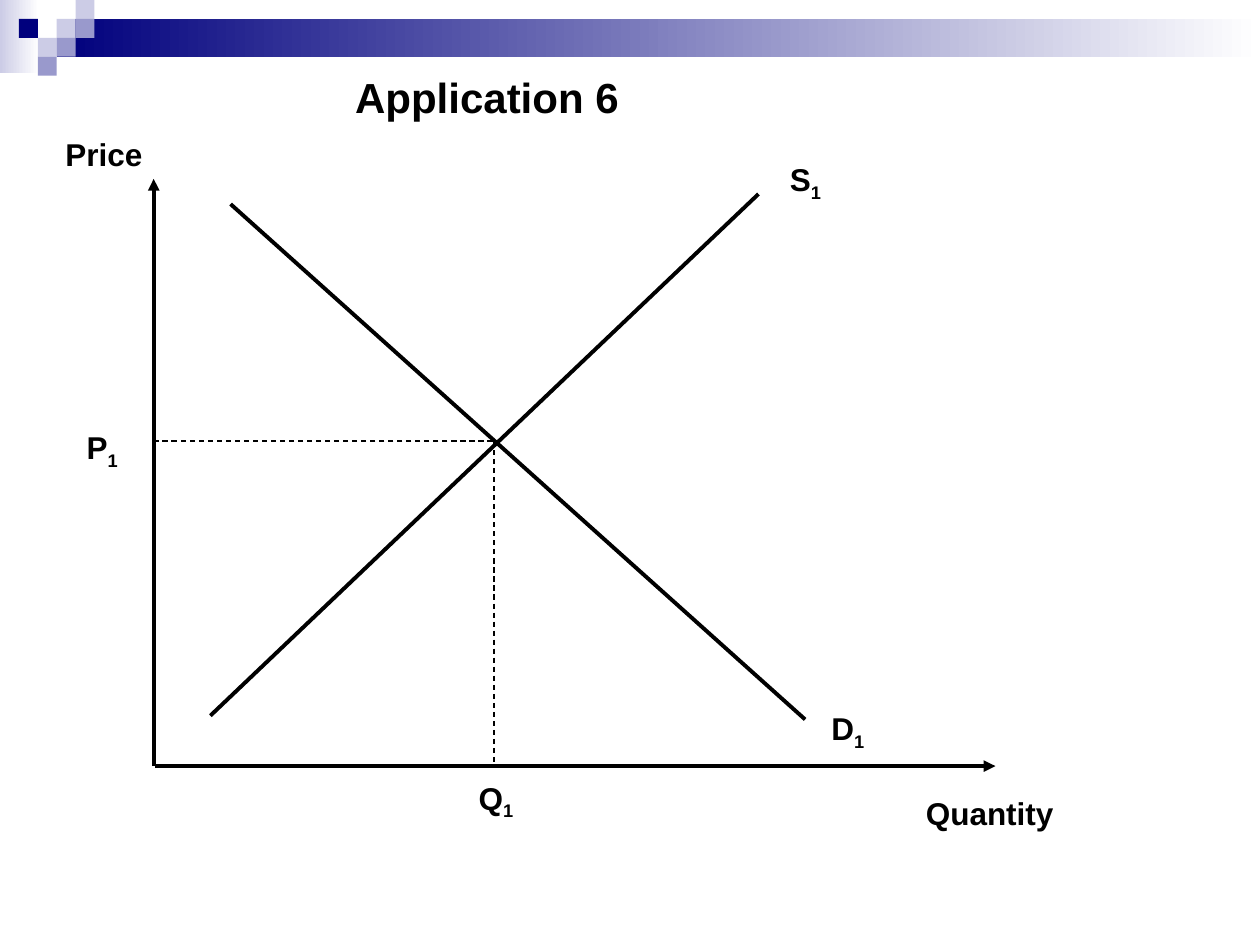
from typing import NamedTuple, Optional

from lxml.etree import SubElement
from pptx import Presentation
from pptx.dml.color import RGBColor
from pptx.enum.dml import MSO_LINE
from pptx.enum.shapes import MSO_CONNECTOR, MSO_SHAPE
from pptx.enum.text import MSO_ANCHOR, MSO_AUTO_SIZE, PP_ALIGN
from pptx.oxml.ns import qn
from pptx.slide import Slide
from pptx.util import Inches, Pt

BLACK = RGBColor(0x00, 0x00, 0x00)
WHITE = RGBColor(0xFF, 0xFF, 0xFF)
NAVY = RGBColor(0x00, 0x00, 0x7D)
MID = RGBColor(0x99, 0x99, 0xCC)
PALE = RGBColor(0xCC, 0xCC, 0xE6)
TILE = 0.15


class Box(NamedTuple):
    left: float
    top: float
    width: float
    height: float
    color: RGBColor
    fade: bool = False


class Line(NamedTuple):
    x1: float
    y1: float
    x2: float
    y2: float
    weight: float = 2.25
    arrow: bool = False
    dash: bool = False


class Label(NamedTuple):
    text: str
    left: float
    top: float
    width: float
    sub: Optional[str] = None


def tile(col: int, row: int, color: RGBColor) -> Box:
    return Box(col * TILE, row * TILE, TILE, TILE, color)


# Header band: two fading bars, then tiles on a square grid
BAND = [
    Box(0, 0, 0.31, 0.58, PALE, fade=True),
    Box(0.45, 0.15, 9.55, 0.3, NAVY, fade=True),
    tile(3, 1, PALE), tile(4, 0, PALE), tile(4, 1, MID), tile(2, 2, PALE),
    tile(1, 1, NAVY), tile(3, 2, MID), tile(2, 3, MID),
]

# Axes, demand, supply, then the guides to the equilibrium
LINES = [
    Line(1.22, 6.08, 1.22, 1.42, arrow=True),
    Line(1.23, 6.08, 7.9, 6.08, arrow=True),
    Line(1.83, 1.62, 6.39, 5.71),
    Line(1.67, 5.68, 6.02, 1.54),
    Line(3.91, 3.5, 1.24, 3.5, 0.75, dash=True),
    Line(3.92, 3.5, 3.92, 6.08, 0.75, dash=True),
]

LABELS = [
    Label("Price", 0.42, 1.02, 0.82),
    Label("Quantity", 7.25, 6.25, 1.23),
    Label("S", 6.17, 1.22, 0.46, "1"),
    Label("D", 6.5, 5.58, 0.47, "1"),
    Label("P", 0.59, 3.35, 0.46, "1"),
    Label("Q", 3.7, 6.13, 0.49, "1"),
]


def set_font(para, size: float) -> None:
    font = para.font
    font.name, font.size, font.bold = "Arial", Pt(size), True
    font.color.rgb = BLACK


def draw_box(slide: Slide, box: Box) -> None:
    shape = slide.shapes.add_shape(
        MSO_SHAPE.RECTANGLE, Inches(box.left), Inches(box.top),
        Inches(box.width), Inches(box.height))
    shape.shadow.inherit = False
    shape.line.fill.background()
    if box.fade:
        shape.fill.gradient()
        shape.fill.gradient_angle = 0
        for stop, color in zip(shape.fill.gradient_stops, (box.color, WHITE)):
            stop.color.rgb = color
    else:
        shape.fill.solid()
        shape.fill.fore_color.rgb = box.color


def draw_line(slide: Slide, line: Line) -> None:
    shape = slide.shapes.add_connector(
        MSO_CONNECTOR.STRAIGHT, Inches(line.x1), Inches(line.y1),
        Inches(line.x2), Inches(line.y2))
    shape.line.color.rgb = BLACK
    shape.line.width = Pt(line.weight)
    if line.dash:
        shape.line.dash_style = MSO_LINE.DASH
    if line.arrow:
        SubElement(shape.line._get_or_add_ln(), qn("a:tailEnd"), type="triangle")
    SubElement(shape._element.spPr, qn("a:effectLst"))


def draw_label(slide: Slide, label: Label) -> None:
    frame = slide.shapes.add_textbox(
        Inches(label.left), Inches(label.top),
        Inches(label.width), Inches(0.4)).text_frame
    frame.word_wrap = False
    frame.auto_size = MSO_AUTO_SIZE.SHAPE_TO_FIT_TEXT
    para = frame.paragraphs[0]
    para.add_run().text = label.text
    if label.sub:
        run = para.add_run()
        run.text = label.sub
        run._r.get_or_add_rPr().set("baseline", "-25000")
    set_font(para, 18)


def draw_title(slide: Slide, text: str) -> None:
    title = slide.shapes.title
    title.left, title.top = Inches(0.99), Inches(0.52)
    title.width, title.height = Inches(5.75), Inches(0.5)
    frame = title.text_frame
    frame.text = text
    frame.vertical_anchor = MSO_ANCHOR.MIDDLE
    para = frame.paragraphs[0]
    para.alignment = PP_ALIGN.CENTER
    set_font(para, 24)


def main() -> None:
    deck = Presentation()
    deck.slide_width, deck.slide_height = Inches(10), Inches(7.5)
    slide = deck.slides.add_slide(deck.slide_layouts[5])
    for box in BAND:
        draw_box(slide, box)
    draw_title(slide, "Application 6")
    for line in LINES:
        draw_line(slide, line)
    for label in LABELS:
        draw_label(slide, label)
    deck.save("out.pptx")


if __name__ == "__main__":
    main()
